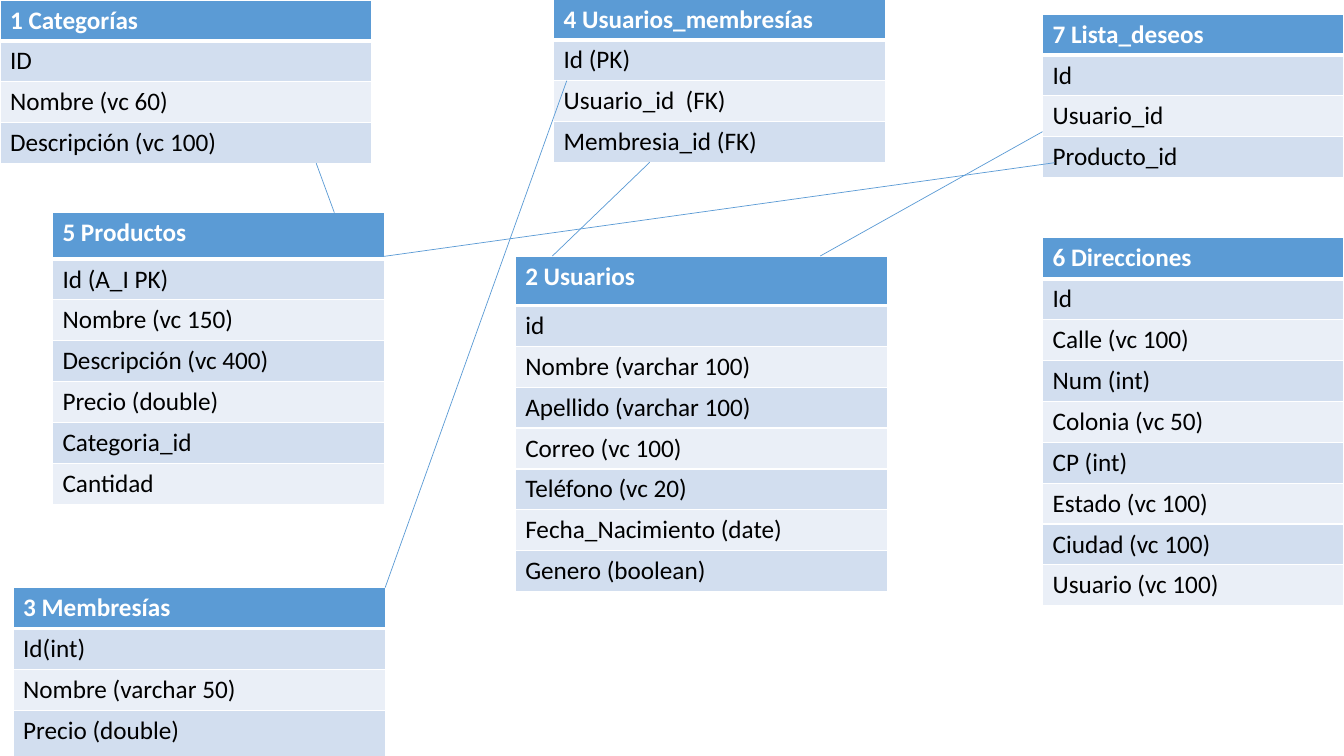
from dataclasses import dataclass, field

from lxml import etree
from pptx import Presentation
from pptx import util as u
from pptx.dml.color import RGBColor
from pptx.enum import shapes, text
from pptx.oxml import ns


@dataclass(frozen=True)
class Theme:
    """Colours, type and grid of the diagram."""
    font: str = "Calibri"
    size: int = 18
    accent: str = "5B9BD5"
    bands: tuple = ("D2DEEF", "EAEFF7")
    dark: str = "000000"
    light: str = "FFFFFF"
    cell: float = 0.1
    row: float = 4.05


@dataclass(frozen=True)
class Entity:
    """A database table: its place in grid cells, its name and its fields."""
    left: float
    top: float
    width: float
    name: str
    fields: tuple
    heights: dict = field(default_factory=dict)

    def rows(self):
        """Return the row heights in grid cells."""
        return [self.heights.get(index, THEME.row) for index in range(len(self.fields) + 1)]

    def point(self, across, down):
        """Return the slide position at a share of the entity's box."""
        return (grid(self.left + across * self.width),
                grid(self.top + down * sum(self.rows())))


THEME = Theme()

ENTITIES = {
    "categorías": Entity(0, 0, 36.9, "1 Categorías", (
        "ID", "Nombre (vc 60)", "Descripción (vc 100)")),
    "usuarios": Entity(51.1, 25.4, 36.9, "2 Usuarios", (
        "id", "Nombre (varchar 100)", "Apellido (varchar 100)", "Correo (vc 100)",
        "Teléfono (vc 20)", "Fecha_Nacimiento (date)", "Genero (boolean)"), {0: 4.9}),
    "membresías": Entity(1.3, 58.3, 36.9, "3 Membresías", (
        "Id(int)", "Nombre (varchar 50)", "Precio (double)"), {3: 4.6}),
    "usuarios_membresías": Entity(54.9, -0.1, 32.9, "4 Usuarios_membresías", (
        "Id (PK)", "Usuario_id  (FK)", "Membresia_id (FK)")),
    "direcciones": Entity(103.4, 23.6, 29.9, "6 Direcciones", (
        "Id", "Calle (vc 100)", "Num (int)", "Colonia (vc 50)", "CP (int)",
        "Estado (vc 100)", "Ciudad (vc 100)", "Usuario (vc 100)")),
    "productos": Entity(5.2, 21.1, 32.9, "5 Productos", (
        "Id (A_I PK)", "Nombre (vc 150)", "Descripción (vc 400)", "Precio (double)",
        "Categoria_id", "Cantidad"), {0: 4.6}),
    "lista_deseos": Entity(103.4, 1.4, 29.9, "7 Lista_deseos", (
        "Id", "Usuario_id", "Producto_id")),
}

LINKS = (
    ("categorías", (0.85, 1), "productos", (0.85, 0)),
    ("usuarios", (0.1, 0), "usuarios_membresías", (0.29, 1)),
    ("membresías", (1, 0), "usuarios_membresías", (0.04, 0.5)),
    ("usuarios", (0.82, 0), "lista_deseos", (0, 0.72)),
    ("productos", (1, 0.15), "lista_deseos", (0.04, 0.91)),
)


def grid(cells):
    """Convert grid cells to a slide length."""
    return u.Inches(cells * THEME.cell)


def add_borders(cell, bottom):
    """Edge a cell in the light colour, with its own bottom width in points."""
    properties = cell._tc.get_or_add_tcPr()
    for index, (side, width) in enumerate((("L", 1), ("R", 1), ("T", 1), ("B", bottom))):
        edge = etree.Element(ns.qn(f"a:ln{side}"), w=str(u.Pt(width)))
        fill = etree.SubElement(edge, ns.qn("a:solidFill"))
        etree.SubElement(fill, ns.qn("a:srgbClr"), val=THEME.light)
        properties.insert(index, edge)


def write_cell(cell, label, fill, colour, bold, bottom):
    """Fill one cell and write its label."""
    cell.fill.solid()
    cell.fill.fore_color.rgb = RGBColor.from_string(fill)
    cell.vertical_anchor = text.MSO_ANCHOR.TOP
    add_borders(cell, bottom)
    span = cell.text_frame.paragraphs[0].add_run()
    span.text = label
    formats = {"name": THEME.font, "size": u.Pt(THEME.size), "bold": bold}
    for name, value in formats.items():
        setattr(span.font, name, value)
    span.font.color.rgb = RGBColor.from_string(colour)


def add_entity(page, entity):
    """Draw an entity as a one-column table with a header."""
    heights = entity.rows()
    table = page.shapes.add_table(
        len(heights), 1, *entity.point(0, 0), grid(entity.width), grid(sum(heights))).table
    for row, height in zip(table.rows, heights):
        row.height = grid(height)
    write_cell(table.cell(0, 0), entity.name, THEME.accent, THEME.light, True, 3)
    for index, label in enumerate(entity.fields):
        band = THEME.bands[index % len(THEME.bands)]
        write_cell(table.cell(index + 1, 0), label, band, THEME.dark, False, 1)


def add_link(page, start, start_share, end, end_share):
    """Join two entities with a thin line."""
    line = page.shapes.add_connector(
        shapes.MSO_CONNECTOR.STRAIGHT,
        *ENTITIES[start].point(*start_share), *ENTITIES[end].point(*end_share))
    line.line.color.rgb = RGBColor.from_string(THEME.accent)
    line.line.width = u.Pt(0.5)
    etree.SubElement(line._element.spPr, ns.qn("a:effectLst"))


def main():
    """Build the entity diagram and save it."""
    deck = Presentation()
    deck.slide_width, deck.slide_height = u.Inches(13.33), u.Inches(7.5)
    page = deck.slides.add_slide(deck.slide_layouts[6])
    for entity in ENTITIES.values():
        add_entity(page, entity)
    for link in LINKS:
        add_link(page, *link)
    deck.save("out.pptx")


if __name__ == "__main__":
    main()
